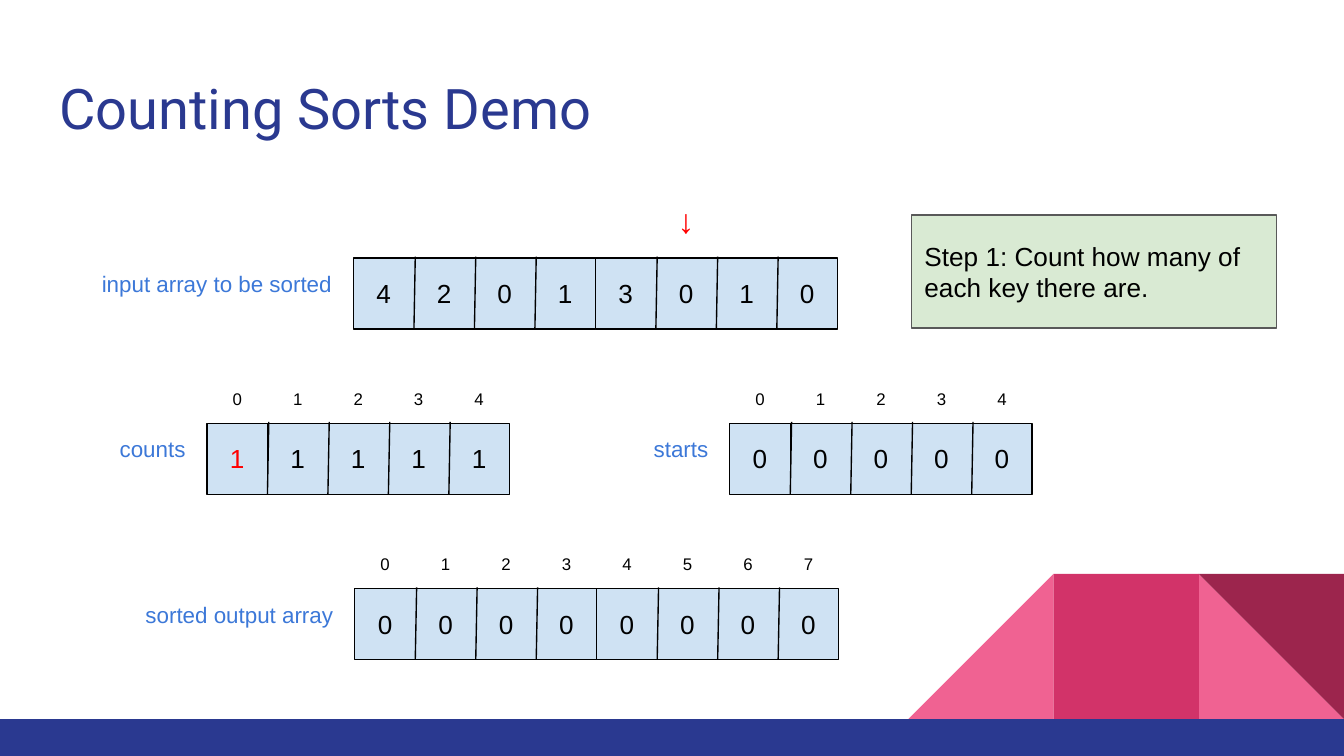
import pptx
import pptx.dml.color
import pptx.enum.shapes
import pptx.enum.text
import pptx.oxml
import pptx.util
from pptx.util import Inches

COLORS = {
    "navy": "2A3990", "pink": "F06292", "rose": "D23369", "wine": "9C254D",
    "cell": "CFE2F3", "step": "D9EAD3", "gray": "595959",
    "label": "3C78D8", "red": "FF0000", "black": "000000",
}
SHAPE = pptx.enum.shapes.MSO_SHAPE
ALIGN = pptx.enum.text.PP_ALIGN
ANCHOR = pptx.enum.text.MSO_ANCHOR
CELL_WIDTH = 0.45
CELL_HEIGHT = 0.54
BLOCK_CELLS = 4


def rgb(name):
    """Return the named colour."""
    return pptx.dml.color.RGBColor.from_string(COLORS[name])


def write(frame, text, size, color="black", align=ALIGN.LEFT,
          anchor=ANCHOR.TOP, font="Arial"):
    """Fill a text frame with one formatted paragraph."""
    frame.text = text
    frame.word_wrap = True
    frame.auto_size = pptx.enum.text.MSO_AUTO_SIZE.NONE
    frame.vertical_anchor = anchor
    frame.margin_left = frame.margin_right = Inches(0.1)
    frame.margin_top = frame.margin_bottom = Inches(0.1)
    paragraph = frame.paragraphs[0]
    paragraph.alignment = align
    for run in paragraph.runs:
        run.font.name = font
        run.font.size = pptx.util.Pt(size)
        run.font.color.rgb = rgb(color)


def add_label(slide, left, top, width, height, text, size, **style):
    """Add a text box."""
    box = slide.shapes.add_textbox(Inches(left), Inches(top), Inches(width), Inches(height))
    write(box.text_frame, text, size, **style)


def add_block(slide, kind, left, top, width, height, fill, line=None):
    """Add a filled preset shape, outlined if a line colour is given."""
    block = slide.shapes.add_shape(
        kind, Inches(left), Inches(top), Inches(width), Inches(height))
    block.shadow.inherit = False
    block.fill.solid()
    block.fill.fore_color.rgb = rgb(fill)
    if line:
        block.line.color.rgb = rgb(line)
        block.line.width = pptx.util.Pt(0.75)
    else:
        block.line.fill.background()
    return block


def add_divider(slide, x, top):
    """Add the slightly slanted line between two cells."""
    divider = slide.shapes.add_connector(
        pptx.enum.shapes.MSO_CONNECTOR.STRAIGHT,
        Inches(x + 0.01), Inches(top), Inches(x), Inches(top + CELL_HEIGHT))
    divider.line.color.rgb = rgb("black")
    divider.line.width = pptx.util.Pt(0.75)
    properties = divider._element.spPr
    properties.append(properties.makeelement(pptx.oxml.ns.qn("a:effectLst"), {}))


def add_title(slide, left, top, width, height):
    """Place and format the title placeholder."""
    title = slide.shapes.title
    title.left, title.top = Inches(left), Inches(top)
    title.width, title.height = Inches(width), Inches(height)
    write(title.text_frame, "Counting Sorts Demo", 30, color="navy", font="Roboto")


def add_footer(slide, left, top, width, height):
    """Draw the bottom bar and the corner triangles above it."""
    side = 1.08
    right, peak = left + width, top - side
    add_block(slide, SHAPE.RIGHT_TRIANGLE, right - side, peak, side, side, "pink")
    slope = add_block(slide, SHAPE.RIGHT_TRIANGLE, right - 3 * side, peak, side, side, "pink")
    slope._element.spPr.xfrm.set("flipH", "1")
    add_block(slide, SHAPE.RECTANGLE, right - 2 * side, peak, side, side, "rose")
    corner = add_block(slide, SHAPE.RIGHT_TRIANGLE, right - side, peak, side, side, "wine")
    corner.rotation = 180
    add_block(slide, SHAPE.RECTANGLE, left, top, width, height, "navy")


def add_array(slide, left, top, name, name_width, values, indexed=True,
              changed=None, pointer=None):
    """Draw a named array, with optional indices, changed cell and pointer."""
    count = len(values)
    for first in (0, count - BLOCK_CELLS):
        add_block(slide, SHAPE.RECTANGLE, left + first * CELL_WIDTH, top + 0.01,
                  BLOCK_CELLS * CELL_WIDTH, CELL_HEIGHT - 0.01, "cell", "black")
    for index in range(1, count):
        if 2 * index != count:
            add_divider(slide, left + index * CELL_WIDTH, top)
    for index, value in enumerate(values):
        x = left + index * CELL_WIDTH
        add_label(slide, x, top, CELL_WIDTH, CELL_HEIGHT, str(value), 14,
                  color="red" if index == changed else "black",
                  align=ALIGN.CENTER, anchor=ANCHOR.MIDDLE)
        if indexed:
            add_label(slide, x, top - 0.35, CELL_WIDTH, 0.35, str(index), 9,
                      align=ALIGN.CENTER)
    if pointer is not None:
        add_label(slide, left + pointer * CELL_WIDTH, top - CELL_HEIGHT,
                  CELL_WIDTH, CELL_HEIGHT, "↓", 18, color="red",
                  align=ALIGN.CENTER, anchor=ANCHOR.MIDDLE)
    add_label(slide, left - 0.06 - name_width, top, name_width, CELL_HEIGHT,
              name, 12, color="label", align=ALIGN.RIGHT)


def add_step(slide, left, top, width, height):
    """Draw the box that explains the current step."""
    step = add_block(slide, SHAPE.RECTANGLE, left, top, width, height, "step", "gray")
    write(step.text_frame, "Step 1: Count how many of each key there are.", 14,
          anchor=ANCHOR.MIDDLE)


def main():
    """Build and save the slide."""
    deck = pptx.Presentation()
    deck.slide_width = Inches(10)
    deck.slide_height = deck.slide_width * 9 // 16
    slide = deck.slides.add_slide(deck.slide_layouts[5])
    add_footer(slide, 0, 5.35, 10, 0.28)
    add_title(slide, 0.34, 0.45, 9.32, 0.66)
    add_array(slide, 2.63, 1.91, "input array to be sorted", 2.16,
              [4, 2, 0, 1, 3, 0, 1, 0], indexed=False, pointer=5)
    add_array(slide, 1.54, 3.14, "counts", 1.07, [1] * 5, changed=0)
    add_array(slide, 5.43, 3.14, "starts", 1.07, [0] * 5)
    add_array(slide, 2.64, 4.37, "sorted output array", 1.9, [0] * 8)
    add_step(slide, 6.78, 1.6, 2.72, 0.84)
    deck.save("out.pptx")


if __name__ == "__main__":
    main()
